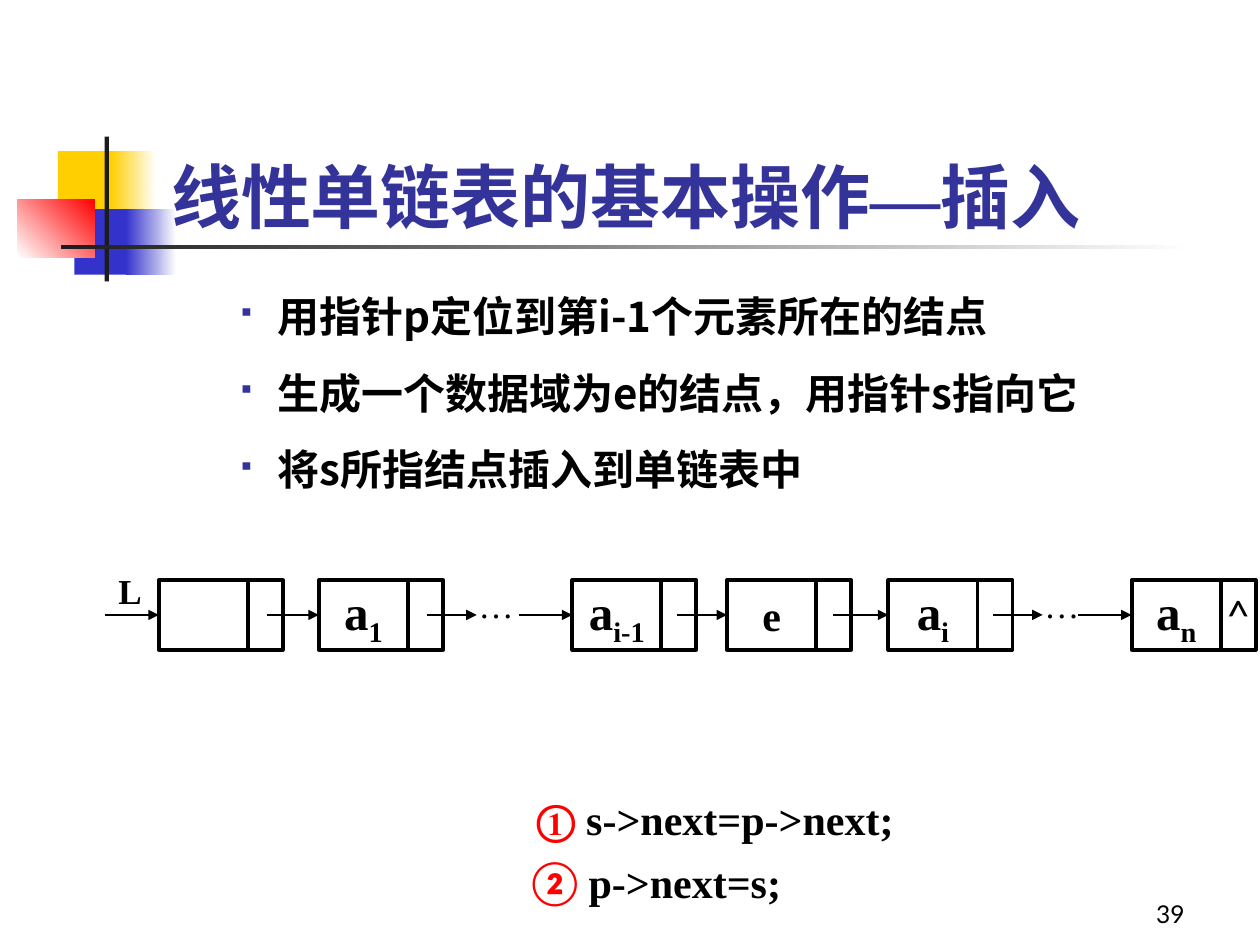
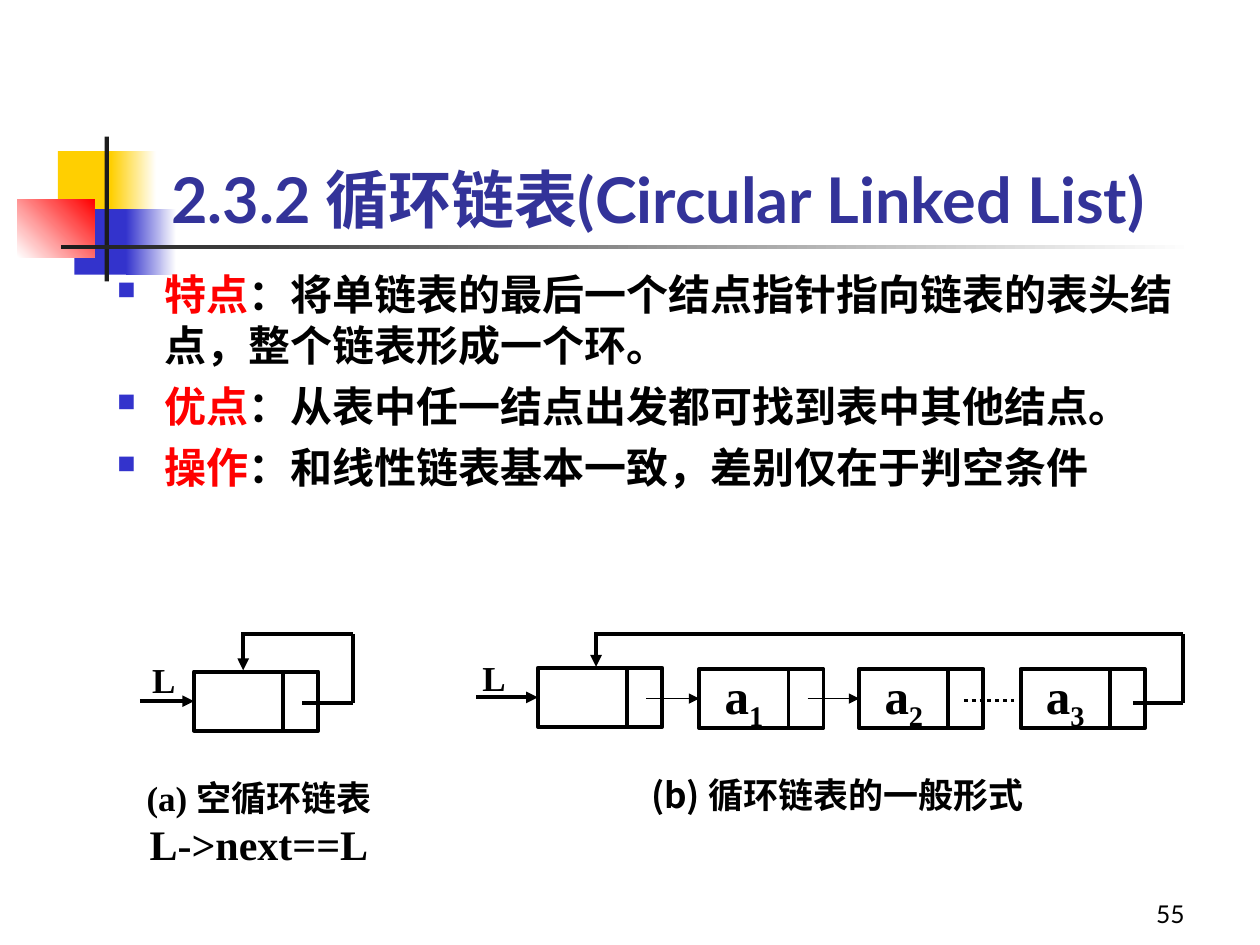
"""Build two lecture slides on inserting into and closing linked lists."""
from dataclasses import dataclass
from typing import Optional

import lxml.etree
import pptx
import pptx.dml.color
import pptx.enum.dml
import pptx.enum.lang
import pptx.enum.shapes
import pptx.enum.text
import pptx.oxml.ns
import pptx.util

Pt = pptx.util.Pt
RGBColor = pptx.dml.color.RGBColor
Align = pptx.enum.text.PP_ALIGN
Anchor = pptx.enum.text.MSO_ANCHOR

BLACK = RGBColor(0x00, 0x00, 0x00)
WHITE = RGBColor(0xFF, 0xFF, 0xFF)
RED = RGBColor(0xFF, 0x00, 0x00)
YELLOW = RGBColor(0xFF, 0xCF, 0x01)
BLUE = RGBColor(0x33, 0x33, 0xCC)
TITLE_BLUE = RGBColor(0x33, 0x33, 0x99)
CHARCOAL = RGBColor(0x1C, 0x1C, 0x1C)

LATO = "Lato"
HAN = "Noto Sans CJK SC"
SERIF = "Times New Roman"

DATA_WIDTH, POINTER_WIDTH = 51, 20
THIN, THICK = 0.75, 2.25
LOOP_TOP, LOOP_BOTTOM = 362.2, 401.8


@dataclass(frozen=True)
class Piece:
    """A stretch of text in one format."""
    text: str
    size: float
    font: str = SERIF
    color: RGBColor = BLACK
    bold: bool = True
    baseline: int = 0
    east_asian_font: Optional[str] = None


@dataclass(frozen=True)
class Block:
    """A filled block of the slide decoration."""
    left: float
    top: float
    width: float
    height: float
    start: RGBColor
    end: Optional[RGBColor] = None
    angle: float = 0


@dataclass(frozen=True)
class Bullet:
    """The look of a bullet list."""
    symbol: str
    color: RGBColor
    percent: int
    indent: float
    hanging: float


@dataclass(frozen=True)
class Node:
    """A list node, with the start of the arrow that leads to it."""
    left: float
    top: float
    height: float
    label: tuple[Piece, ...] = ()
    pointer: tuple[Piece, ...] = ()
    arrow_start: Optional[float] = None
    arrow_weight: float = THIN


@dataclass(frozen=True)
class Loop:
    """The path from the last pointer back to the head node."""
    start: float
    right: float
    head: float
    head_top: float


DECORATION = (
    Block(33.1, 86.4, 34.6, 37.4, YELLOW),
    Block(63.4, 86.4, 25.9, 37.4, YELLOW, WHITE),
    Block(42.5, 119.5, 33.1, 37.4, BLUE),
    Block(72, 119.5, 28.8, 37.4, BLUE, WHITE),
    Block(10, 113.8, 44, 33.1, WHITE, RED, 45),
    Block(59.8, 78, 2.5, 82.8, CHARCOAL),
    Block(34.6, 140.1, 648, 2.5, CHARCOAL, WHITE),
)
SMALL_SQUARE = Bullet("▪", TITLE_BLUE, 55, 58.5, 22.5)
SQUARE = Bullet("■", BLUE, 60, 27, 27)


def add_element(parent, tag: str, **attributes: str):
    """Append a drawing element to a parent and return it."""
    return lxml.etree.SubElement(parent, pptx.oxml.ns.qn(tag), attributes)


def write_paragraph(paragraph, pieces: tuple[Piece, ...]) -> None:
    """Write the pieces into a paragraph, then format the runs."""
    paragraph.text = pieces[0].text
    for piece in pieces[1:]:
        paragraph.add_run().text = piece.text
    for run, piece in zip(paragraph.runs, pieces):
        font = run.font
        font.size, font.name, font.bold = Pt(piece.size), piece.font, piece.bold
        font.color.rgb = piece.color
        font.language_id = pptx.enum.lang.MSO_LANGUAGE_ID.SIMPLIFIED_CHINESE
        properties = run._r.get_or_add_rPr()
        add_element(properties, "a:ea", typeface=piece.east_asian_font or piece.font)
        if piece.baseline:
            properties.set("baseline", str(piece.baseline * 1000))
    if pieces[0].font == HAN:
        paragraph.line_spacing = Pt(round(pieces[0].size * 1.2))


def add_bullet(paragraph, bullet: Bullet) -> None:
    """Give a paragraph its hanging indent and bullet."""
    properties = paragraph._p.get_or_add_pPr()
    properties.set("marL", str(Pt(bullet.indent)))
    properties.set("indent", str(-Pt(bullet.hanging)))
    color = add_element(properties, "a:buClr")
    add_element(color, "a:srgbClr", val=str(bullet.color))
    add_element(properties, "a:buSzPct", val=str(bullet.percent * 1000))
    add_element(properties, "a:buChar", char=bullet.symbol)


def add_text(slide, left: float, top: float, width: float, height: float,
             lines: list[tuple[Piece, ...]], *, align=Align.LEFT, anchor=Anchor.TOP,
             wrap: bool = True, bullet: Optional[Bullet] = None, space: float = 0) -> None:
    """Add a text box with one paragraph for each line."""
    text_frame = slide.shapes.add_textbox(Pt(left), Pt(top), Pt(width), Pt(height)).text_frame
    text_frame.word_wrap = wrap
    text_frame.vertical_anchor = anchor
    for index, pieces in enumerate(lines):
        paragraph = text_frame.add_paragraph() if index else text_frame.paragraphs[0]
        if bullet:
            add_bullet(paragraph, bullet)
        paragraph.alignment = align
        if index:
            paragraph.space_before = Pt(space)
        write_paragraph(paragraph, pieces)


def add_rectangle(slide, left: float, top: float, width: float, height: float):
    """Add a plain rectangle without a shadow."""
    shape = slide.shapes.add_shape(pptx.enum.shapes.MSO_SHAPE.RECTANGLE,
                                   Pt(left), Pt(top), Pt(width), Pt(height))
    shape.shadow.inherit = False
    return shape


def add_block(slide, block: Block) -> None:
    """Add one block of the decoration."""
    shape = add_rectangle(slide, block.left, block.top, block.width, block.height)
    shape.line.fill.background()
    if block.end is None:
        shape.fill.solid()
        shape.fill.fore_color.rgb = block.start
        return
    shape.fill.gradient()
    shape.fill.gradient_angle = block.angle
    for stop, color in zip(shape.fill.gradient_stops, (block.start, block.end)):
        stop.color.rgb = color


def add_line(slide, start: tuple[float, float], end: tuple[float, float],
             weight: float = THIN, arrow: bool = True, dash=None):
    """Add a straight line, with an arrowhead if wanted."""
    connector = slide.shapes.add_connector(pptx.enum.shapes.MSO_CONNECTOR.STRAIGHT,
                                           *(Pt(value) for value in start + end))
    connector.line.color.rgb = BLACK
    connector.line.width = Pt(weight)
    if dash is not None:
        connector.line.dash_style = dash
    if arrow:
        add_element(connector.line._get_or_add_ln(), "a:tailEnd", type="triangle")
    add_element(connector._element.spPr, "a:effectLst")
    return connector


def add_cell(slide, left: float, top: float, width: float, height: float,
             label: tuple[Piece, ...]):
    """Add one outlined field of a node."""
    shape = add_rectangle(slide, left, top, width, height)
    shape.fill.background()
    shape.line.color.rgb = BLACK
    shape.line.width = Pt(THICK)
    if label:
        shape.text_frame.word_wrap = False
        shape.text_frame.vertical_anchor = Anchor.MIDDLE
        paragraph = shape.text_frame.paragraphs[0]
        paragraph.alignment = Align.CENTER
        write_paragraph(paragraph, label)
    return shape


def add_node(slide, node: Node) -> None:
    """Add a node and the arrow leading to it."""
    data = add_cell(slide, node.left, node.top, DATA_WIDTH, node.height, node.label)
    add_cell(slide, node.left + DATA_WIDTH, node.top, POINTER_WIDTH, node.height, node.pointer)
    if node.arrow_start is not None:
        middle = node.top + node.height / 2
        arrow = add_line(slide, (node.arrow_start, middle), (node.left, middle), node.arrow_weight)
        arrow.end_connect(data, 1)


def add_loop(slide, loop: Loop) -> None:
    """Add the lines that close a circular list."""
    corners = ((loop.start, LOOP_BOTTOM), (loop.right, LOOP_BOTTOM),
               (loop.right, LOOP_TOP), (loop.head, LOOP_TOP))
    for start, end in zip(corners, corners[1:]):
        add_line(slide, start, end, THICK, arrow=False)
    add_line(slide, (loop.head, LOOP_TOP - 1), (loop.head, loop.head_top), THICK)


def subscripted(letter: str, index: str) -> tuple[Piece, ...]:
    """Return an element name with its index."""
    return Piece(letter, 28), Piece(index, 28, baseline=-25)


def add_list_name(slide, left: float, top: float) -> None:
    """Add the name of the head pointer."""
    add_text(slide, left, top, 27.4, 31.7, [(Piece("L", 20),)], wrap=False)


def add_base_slide(presentation, title: tuple[Piece, ...], title_top: float, number: int):
    """Add a slide with the decoration, title and number."""
    slide = presentation.slides.add_slide(presentation.slide_layouts[6])
    for block in DECORATION:
        add_block(slide, block)
    add_text(slide, 90.7, title_top, 629, 90, [title], anchor=Anchor.BOTTOM)
    add_text(slide, 534.2, 498.2, 149.8, 36, [(Piece(str(number), 14, LATO, bold=False),)],
             align=Align.RIGHT, anchor=Anchor.BOTTOM)
    return slide


def build_insertion(presentation) -> None:
    """Build the slide on inserting a node."""
    title = (Piece("线性单链表的基本操作", 40, LATO, TITLE_BLUE), Piece("—", 40, SERIF, TITLE_BLUE),
             Piece("插入", 40, LATO, TITLE_BLUE))
    slide = add_base_slide(presentation, title, 49, 39)
    steps = ("用指针p定位到第i-1个元素所在的结点", "生成一个数据域为e的结点，用指针s指向它",
             "将s所指结点插入到单链表中")
    add_text(slide, 92.9, 162, 612, 324, [(Piece(step, 24, HAN),) for step in steps],
             bullet=SMALL_SQUARE, space=15)
    top, height = 331.6, 39.6
    nodes = (
        Node(90.7, top, height, arrow_start=59.8),
        Node(182.2, top, height, subscripted("a", "1"), arrow_start=152.6),
        Node(327, top, height, subscripted("a", "i-1"), arrow_start=296.6),
        Node(415.4, top, height, (Piece("e", 24),), arrow_start=386.6),
        Node(507.6, top, height, subscripted("a", "i"), arrow_start=476),
        Node(646.6, top, height, subscripted("a", "n"), (Piece("^", 24, LATO, bold=False),), 616.3),
    )
    for node in nodes:
        add_node(slide, node)
    add_list_name(slide, 60.5, 321.8)
    middle = top + height / 2
    for arrow_left, dots_left in ((244, 266.4), (567.4, 589.7)):
        add_line(slide, (arrow_left, middle), (arrow_left + 28.4, middle))
        add_text(slide, dots_left, 329.8, 54, 31.7, [(Piece("…", 20, bold=False),)])
    statements = (
        (299.5, 450, Piece("① ", 24, color=RED), Piece("s->next=p->next;", 24)),
        (296.6, 486, Piece("② ", 24, LATO, RED), Piece("p->next=s;", 24)),
    )
    for left, statement_top, *pieces in statements:
        add_text(slide, left, statement_top, 275.8, 36, [tuple(pieces)])


def build_circular(presentation) -> None:
    """Build the slide on circular linked lists."""
    title = (Piece("2.3.2 循环链表(Circular Linked List)", 36, LATO, TITLE_BLUE),)
    slide = add_base_slide(presentation, title, 48.2, 55)
    remarks = (("特点", "：将单链表的最后一个结点指针指向链表的表头结点，整个链表形成一个环。"),
               ("优点", "：从表中任一结点出发都可找到表中其他结点。"),
               ("操作", "：和线性链表基本一致，差别仅在于判空条件"))
    add_text(slide, 59.8, 149.8, 632, 170.6,
             [(Piece(term, 24, HAN, RED), Piece(remark, 24, HAN)) for term, remark in remarks],
             bullet=SQUARE, space=6)
    height = 33.8
    nodes = (
        Node(110.9, 383.8, height, arrow_start=79.9, arrow_weight=THICK),
        Node(307.4, 381.6, height, arrow_start=272.2, arrow_weight=THICK),
        Node(399.6, 382.3, height, subscripted("a", "1"), arrow_start=369.4),
        Node(491, 382.3, height, subscripted("a", "2"), arrow_start=461.5),
        Node(583.2, 382.3, height, subscripted("a", "3")),
    )
    for node in nodes:
        add_node(slide, node)
    add_line(slide, (550.8, 400.3), (579.6, 400.3), THICK, arrow=False,
             dash=pptx.enum.dml.MSO_LINE.ROUND_DOT)
    for loop in (Loop(172.8, 201.6, 139, 383), Loop(647.3, 676.1, 340.6, 381)):
        add_loop(slide, loop)
    add_list_name(slide, 79.9, 373)
    add_list_name(slide, 268.6, 371.5)
    add_text(slide, 74.2, 439.9, 147.6, 60.5,
             [(Piece("(a) 空循环链表", 20, east_asian_font=LATO),), (Piece("L->next==L", 24),)],
             align=Align.CENTER, wrap=False)
    add_text(slide, 365, 438.5, 247.7, 31.7, [(Piece("(b) 循环链表的一般形式", 20, HAN),)],
             wrap=False)


def main() -> None:
    """Build and save the presentation."""
    presentation = pptx.Presentation()
    presentation.slide_width, presentation.slide_height = Pt(720), Pt(540)
    build_insertion(presentation)
    build_circular(presentation)
    presentation.save("out.pptx")


if __name__ == "__main__":
    main()
